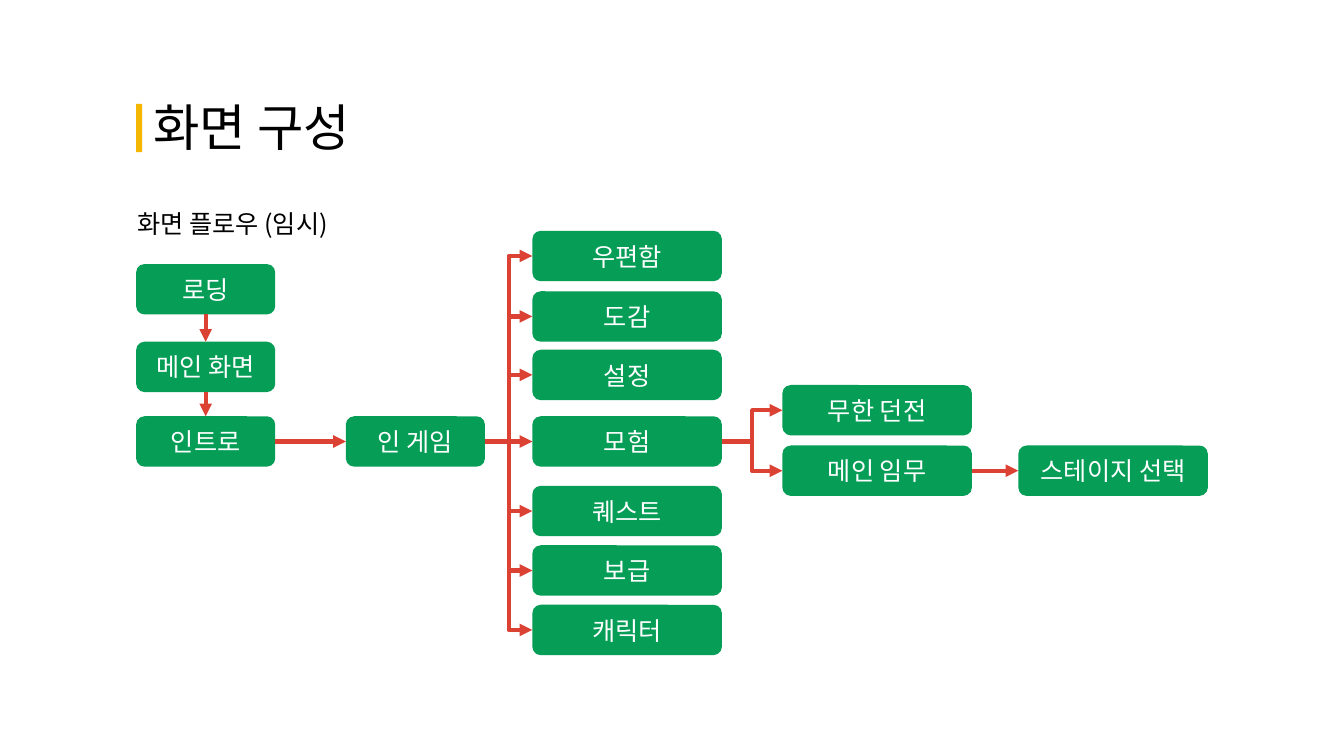
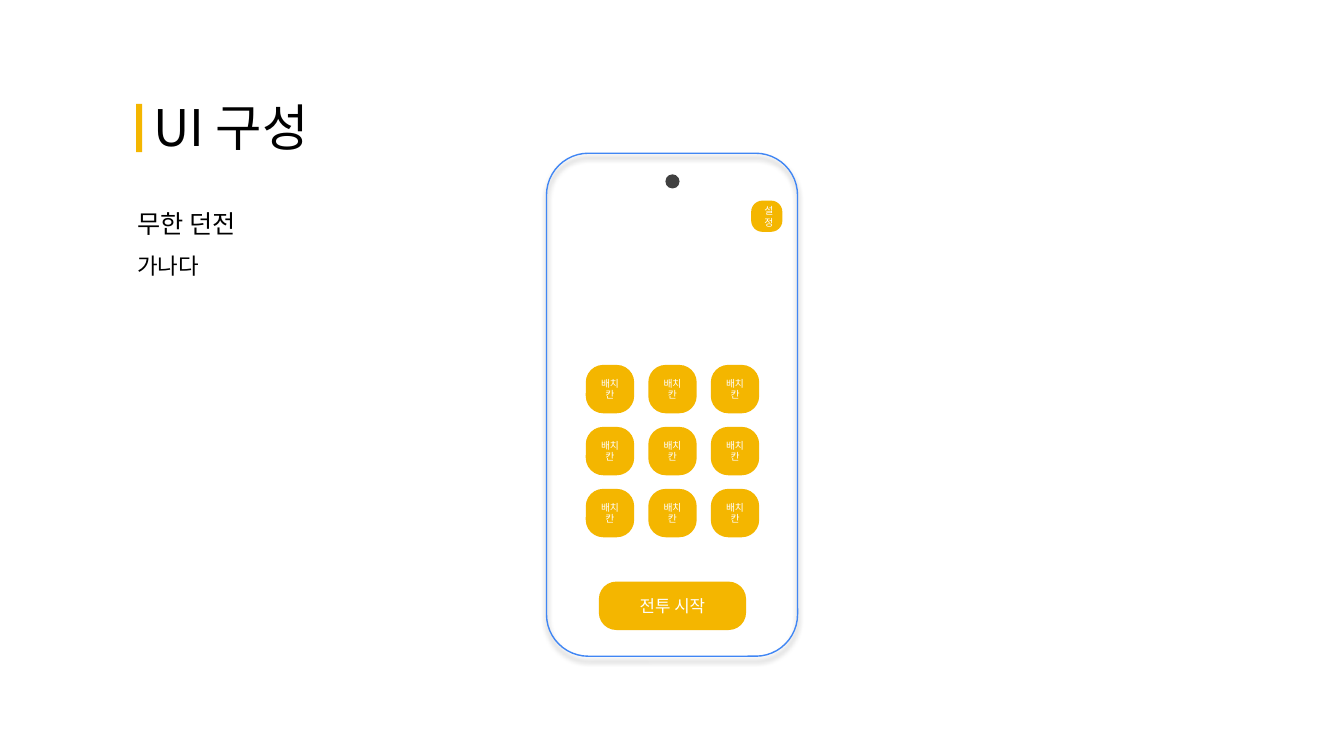
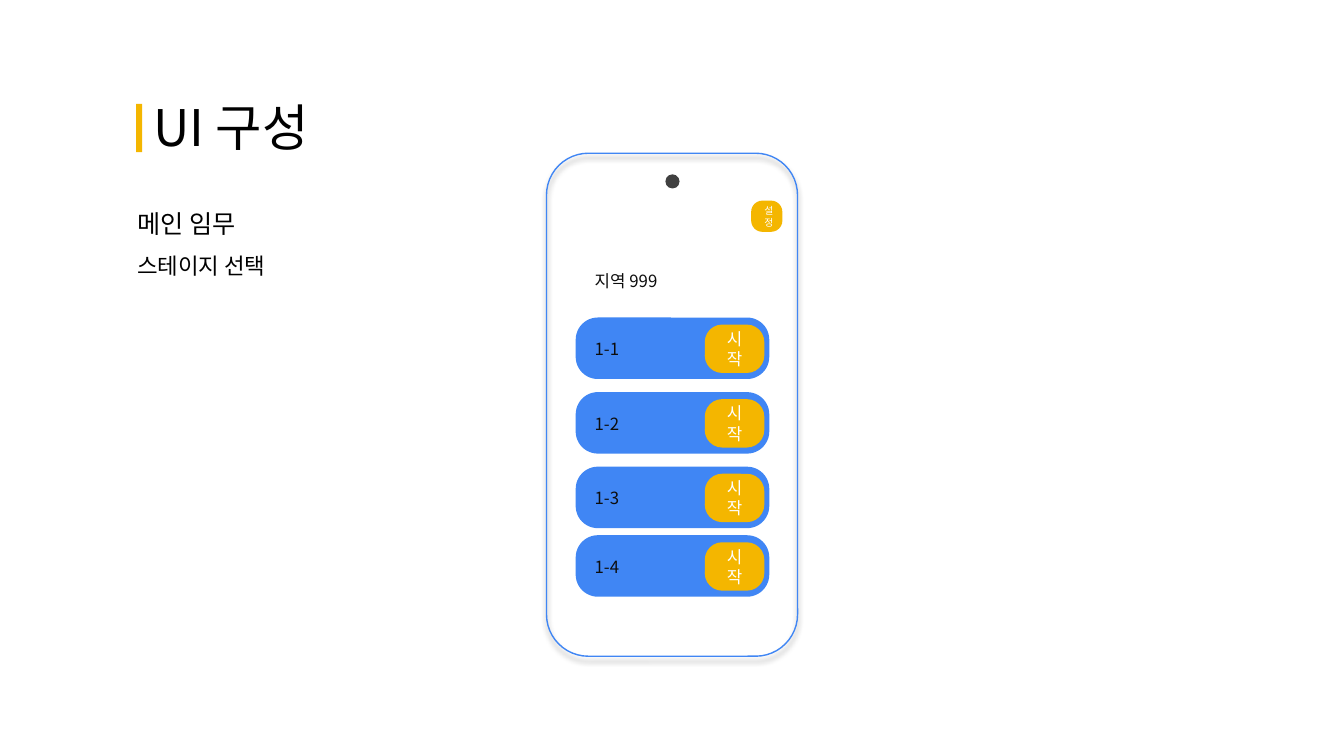
from lxml import etree
from pptx import Presentation
from pptx.dml.color import RGBColor
from pptx.enum.shapes import MSO_CONNECTOR as CONN, MSO_SHAPE as SHAPE
from pptx.enum.text import MSO_ANCHOR as ANCHOR, MSO_AUTO_SIZE as AUTO, PP_ALIGN as ALIGN
from pptx.oxml import parse_xml
from pptx.oxml.ns import nsdecls, qn
from pptx.util import Inches, Pt

FONT = "Noto Sans CJK KR"
BLACK, WHITE, INK, GRAY = "000000", "FFFFFF", "0D0D0D", "404040"
YELLOW, GREEN, RED, BLUE = "F4B600", "069E57", "DC4234", "4086F4"
ROUND = 0.36
rgb = RGBColor.from_string


def write(p, text, size=18, color=WHITE, align=ALIGN.CENTER, spacing=None):
    p.alignment = align
    p.line_spacing = spacing
    p.space_before = Pt(0)
    r = p.add_run()
    r.text = text
    r.font.size = Pt(size)
    r.font.name = FONT
    r.font.color.rgb = rgb(color)
    etree.SubElement(r.font._element, qn("a:ea"), typeface=FONT)


def add_box(s, x, y, w, h, fill=None, text=None, kind=SHAPE.ROUNDED_RECTANGLE, adj=None, **fmt):
    sp = s.shapes.add_shape(kind, Inches(x), Inches(y), Inches(w), Inches(h))
    sp.shadow.inherit = False
    sp.line.fill.background()
    if fill:
        sp.fill.solid()
        sp.fill.fore_color.rgb = rgb(fill)
    else:
        sp.fill.background()
    if adj:
        sp.adjustments[0] = adj
    if text:
        sp.text_frame.word_wrap = True
        sp.text_frame.vertical_anchor = ANCHOR.MIDDLE
        write(sp.text_frame.paragraphs[0], text, **fmt)
    return sp


prs = Presentation()
prs.slide_width, prs.slide_height = Inches(13.33), Inches(7.5)

# Titles, yellow bars and subtitles of all slides
pages = [
    ("화면 구성", ["화면 플로우 (임시)"], 0.5),
    ("UI 구성", ["무한 던전", "가나다"], 0.91),
    ("UI 구성", ["메인 임무", "스테이지 선택"], 0.91),
]
for title, lines, body_h in pages:
    s = prs.slides.add_slide(prs.slide_layouts[1])
    head, body = s.placeholders
    for ph, x, y, w, h in ((head, 1.42, 0.9, 4.27, 0.71), (body, 1.26, 1.87, 3.33, body_h)):
        ph.left, ph.top, ph.width, ph.height = Inches(x), Inches(y), Inches(w), Inches(h)
        ph.text_frame.word_wrap = True
        ph.text_frame.auto_size = AUTO.SHAPE_TO_FIT_TEXT
        ph.text_frame.vertical_anchor = ANCHOR.TOP
    write(head.text_frame.paragraphs[0], title, size=36, color=BLACK, align=ALIGN.LEFT)
    for i, line in enumerate(lines):
        p = body.text_frame.add_paragraph() if i else body.text_frame.paragraphs[0]
        write(p, line, size=18 - 2 * i, color=BLACK, align=ALIGN.LEFT, spacing=1.5)
        pPr = p._p.get_or_add_pPr()
        pPr.set("marL", "0")
        pPr.set("indent", "0")
        etree.SubElement(pPr, qn("a:buNone"))
    add_box(s, 1.35, 1.03, 0.06, 0.48, YELLOW, kind=SHAPE.RECTANGLE)

flow, dungeon, mission = prs.slides

# Screen flow: boxes by column
columns = [
    (1.35, 1.38, [("로딩", 2.62), ("메인 화면", 3.39), ("인트로", 4.13)]),
    (3.43, 1.38, [("인 게임", 4.13)]),
    (5.28, 1.88, [("우편함", 2.29), ("도감", 2.89), ("설정", 3.47), ("모험", 4.13),
                  ("퀘스트", 4.82), ("보급", 5.41), ("캐릭터", 6.0)]),
    (7.76, 1.88, [("무한 던전", 3.82), ("메인 임무", 4.42)]),
    (10.1, 1.88, [("스테이지 선택", 4.42)]),
]
boxes = {}
for x, w, items in columns:
    for name, y in items:
        boxes[name] = add_box(flow, x, y, w, 0.5, GREEN, name)

# Screen flow: arrows, straight within a row or column and bent elsewhere
links = [("로딩", "메인 화면"), ("메인 화면", "인트로"), ("인트로", "인 게임"),
         ("모험", "무한 던전"), ("모험", "메인 임무"), ("메인 임무", "스테이지 선택")]
links += [("인 게임", name) for name, y in columns[2][2]]
for start, end in links:
    a, b = boxes[start], boxes[end]
    down = a.left == b.left
    kind = CONN.STRAIGHT if down or a.top == b.top else CONN.ELBOW
    c = flow.shapes.add_connector(kind, 0, 0, 0, 0)
    c.begin_connect(a, 2 if down else 3)
    c.end_connect(b, 0 if down else 1)
    c.line.color.rgb = rgb(RED)
    c.line.width = Pt(3)
    etree.SubElement(c.line._get_or_add_ln(), qn("a:tailEnd"), type="triangle")
    etree.SubElement(c._element.spPr, qn("a:effectLst"))

# Phone frame with camera and settings button
for s in (dungeon, mission):
    phone = add_box(s, 5.42, 1.52, 2.49, 4.99)
    phone.line.color.rgb = rgb(BLUE)
    phone.line.width = Pt(1)
    phone._element.spPr.find(qn("a:effectLst")).append(parse_xml(
        f'<a:outerShdw {nsdecls("a")} blurRad="50800" dist="38100" dir="5400000">'
        f'<a:srgbClr val="{BLACK}"><a:alpha val="40000"/></a:srgbClr></a:outerShdw>'))
    add_box(s, 6.6, 1.73, 0.14, 0.14, GRAY, kind=SHAPE.OVAL)
    add_box(s, 7.45, 1.99, 0.31, 0.31, YELLOW, "설정", adj=ROUND, size=7)

# Endless dungeon: 3 x 3 placement grid and start button
for row in range(3):
    for col in range(3):
        add_box(dungeon, 5.81 + 0.62 * col, 3.62 + 0.615 * row, 0.48, 0.48,
                YELLOW, "배치 칸", adj=ROUND, size=7)
add_box(dungeon, 5.94, 5.77, 1.46, 0.48, YELLOW, "전투 시작", adj=ROUND, size=12)

# Main mission: region label and stage rows
label = dict(adj=ROUND, size=12, color=INK, align=ALIGN.LEFT)
add_box(mission, 5.75, 2.55, 1.83, 0.48, text="지역 999", **label)
for n, y in enumerate((3.15, 3.89, 4.63, 5.31), 1):
    add_box(mission, 5.71, y, 1.92, 0.61, BLUE, adj=ROUND)
    add_box(mission, 6.99, y + 0.07, 0.59, 0.48, YELLOW, "시작", adj=ROUND, size=12)
    add_box(mission, 5.75, y + 0.07, 1.83, 0.48, text=f"1-{n}", **label)

prs.save("out.pptx")
